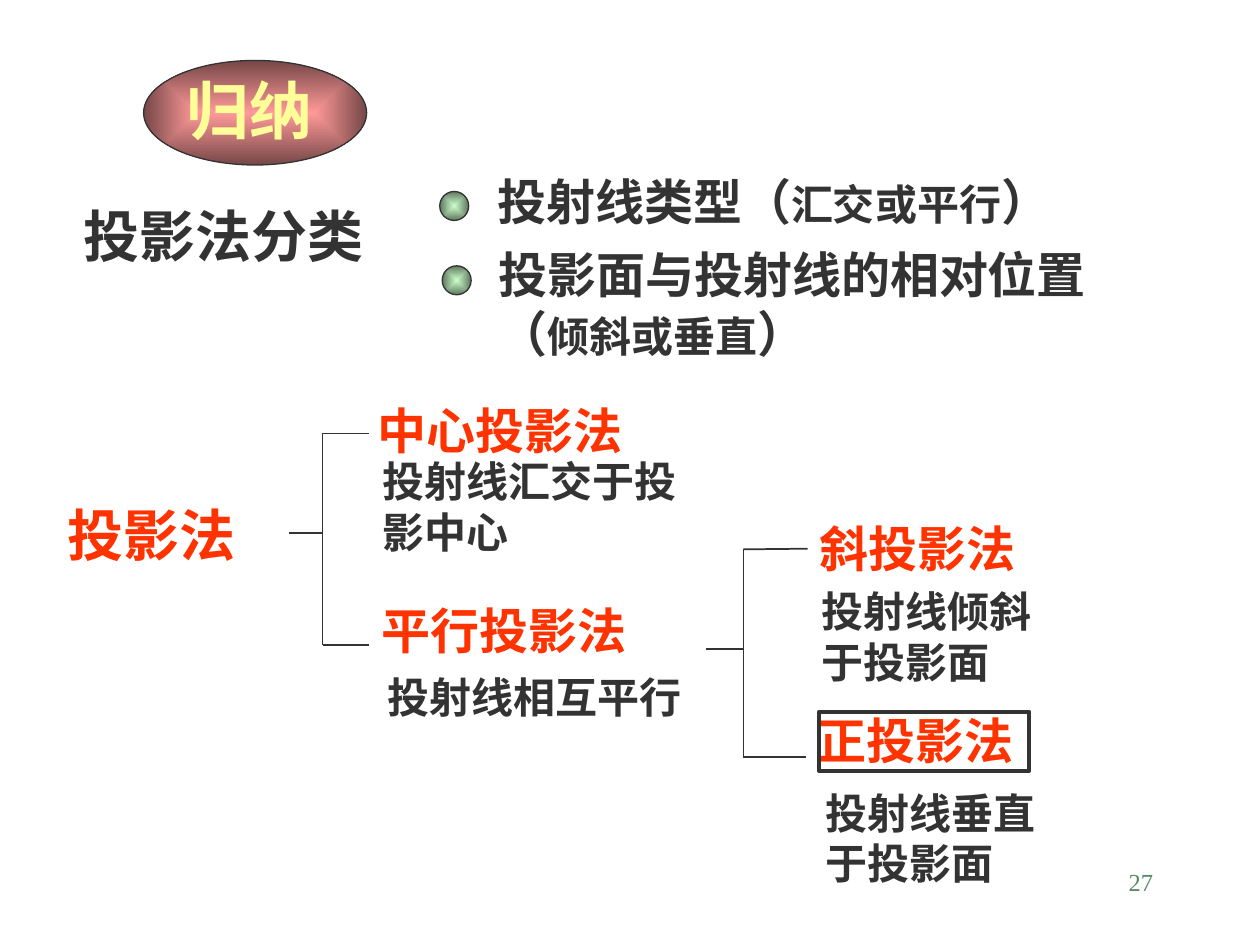
"""Build the summary slide that classifies projection methods."""
from lxml import etree
from pptx import Presentation
from pptx.dml.color import RGBColor
from pptx.enum.shapes import MSO_CONNECTOR, MSO_SHAPE
from pptx.enum.text import MSO_ANCHOR, MSO_AUTO_SIZE, PP_ALIGN
from pptx.oxml import parse_xml
from pptx.oxml.ns import nsdecls, qn
from pptx.util import Pt

STRAIGHT = MSO_CONNECTOR.STRAIGHT
OVAL, RECTANGLE = MSO_SHAPE.OVAL, MSO_SHAPE.RECTANGLE
TOP, NO_FIT = MSO_ANCHOR.TOP, MSO_AUTO_SIZE.NONE
LEFT, RIGHT = PP_ALIGN.LEFT, PP_ALIGN.RIGHT
LEFT_SIDE = 1
PX = 9144
SERIF, SANS = "Times New Roman", "Noto Sans CJK SC"
COLORS = {
    "ink": "333333", "accent": "FF3300", "badge_text": "FFFF99", "number": "578963",
    "rose": "FF9999", "rose_dark": "764747", "mint": "CCFFCC", "mint_dark": "5E765E",
}


class SlideBuilder:
    """Hold the style and the current slide."""

    def __init__(self, width, height):
        self.deck = Presentation()
        self.deck.slide_width, self.deck.slide_height = width * PX, height * PX
        self.page = self.deck.slides.add_slide(self.deck.slide_layouts[5])

    def color(self, name):
        return RGBColor.from_string(COLORS[name])

    def outline(self, shape, points):
        shape.line.color.rgb = self.color("ink")
        shape.line.width = Pt(points)

    def fill_text(self, box, lines, size, color="ink", font=SANS, bold=True,
                  wrap=True, align=LEFT):
        frame = box.text_frame
        settings = {"word_wrap": wrap, "auto_size": NO_FIT, "vertical_anchor": TOP}
        for name, value in settings.items():
            setattr(frame, name, value)
        for index, line in enumerate(lines):
            para = frame.add_paragraph() if index else frame.paragraphs[0]
            para.alignment = align
            for content, points in [(line, size)] if isinstance(line, str) else line:
                span = para.add_run()
                span.text = content
                style = {"name": font, "size": Pt(points), "bold": bold}
                for name, value in style.items():
                    setattr(span.font, name, value)
                span.font.color.rgb = self.color(color)
        return box

    def title(self, area, content, size):
        box = self.page.shapes.title
        box.left, box.top, box.width, box.height = (value * PX for value in area)
        return self.fill_text(box, [content], size, wrap=False)

    def text(self, area, lines, size, **style):
        box = self.page.shapes.add_textbox(*(value * PX for value in area))
        return self.fill_text(box, lines, size, **style)

    def heading(self, area, content, size=28, **style):
        return self.text(area, [content], size, color="accent", font=SERIF, **style)

    def shape(self, kind, area, points):
        shape = self.page.shapes.add_shape(kind, *(value * PX for value in area))
        shape.shadow.inherit = False
        shape.fill.background()
        self.outline(shape, points)
        return shape

    def glowing_oval(self, area, inner, outer):
        oval = self.shape(OVAL, area, 0.75)
        stops = "".join(
            f'<a:gs pos="{place}"><a:srgbClr val="{COLORS[name]}"/></a:gs>'
            for place, name in ((0, inner), (100000, outer)))
        gradient = parse_xml(
            f'<a:gradFill {nsdecls("a")} rotWithShape="1"><a:gsLst>{stops}</a:gsLst>'
            '<a:path path="shape"><a:fillToRect l="50000" t="50000" r="50000" b="50000"/>'
            '</a:path></a:gradFill>')
        properties = oval.element.spPr
        properties.replace(properties.find(qn("a:noFill")), gradient)

    def line(self, *ends):
        line = self.page.shapes.add_connector(STRAIGHT, *(value * PX for value in ends))
        self.outline(line, 1)
        etree.SubElement(line.element.spPr, qn("a:effectLst"))
        return line

    def bracket(self, start, spine, end, top, middle, bottom):
        self.line(spine, top, spine, bottom)
        self.line(start, middle, spine, middle)
        self.line(spine, bottom, end, bottom)
        return self.line(spine, top, end, top)

    def save(self):
        self.deck.save("out.pptx")


def main():
    slide = SlideBuilder(1000, 750)
    slide.title((56, 155, 243, 63), "投影法分类", 32)
    slide.text((717, 683, 208, 50), ["27"], 14, color="number", font=SERIF,
               bold=False, align=RIGHT)

    slide.glowing_oval((114, 48, 177, 83), "rose", "rose_dark")
    slide.text((138, 52, 120, 70), ["归纳"], 36, color="badge_text", font=SERIF, wrap=False)

    slide.text((385, 131, 580, 57),
               [[("投射线类型（", 28), ("汇交或平行", 24), ("）", 28)]], 28)
    slide.text((386, 189, 567, 103),
               ["投影面与投射线的相对位置",
                [("（", 28), ("倾斜或垂直", 24), ("）", 28)]], 28)
    for left, top in ((349, 152), (351, 211)):
        slide.glowing_oval((left, top, 23, 23), "mint", "mint_dark")

    slide.heading((44, 392, 154, 63), "投影法", 32, wrap=False)
    slide.heading((290, 313, 215, 57), "中心投影法", wrap=False)
    slide.text((294, 357, 268, 90), ["投射线汇交于投影中心"], 24, font=SERIF)
    slide.heading((293, 472, 312, 57), "平行投影法")
    slide.text((298, 528, 257, 50), ["投射线相互平行"], 24)
    slide.bracket(229, 256, 293, 344, 423, 512)

    oblique = slide.heading((641, 407, 176, 57), "斜投影法", wrap=False)
    slide.text((642, 460, 241, 90), ["投射线倾斜", "于投影面"], 24)
    slide.heading((639, 559, 231, 57), "正投影法")
    slide.shape(RECTANGLE, (650, 565, 167, 47), 2.25)
    slide.text((645, 620, 188, 90), ["投射线垂直", "于投影面"], 24, wrap=False)
    slide.bracket(560, 590, 640, 436, 515, 601).end_connect(oblique, LEFT_SIDE)
    slide.save()


if __name__ == "__main__":
    main()
